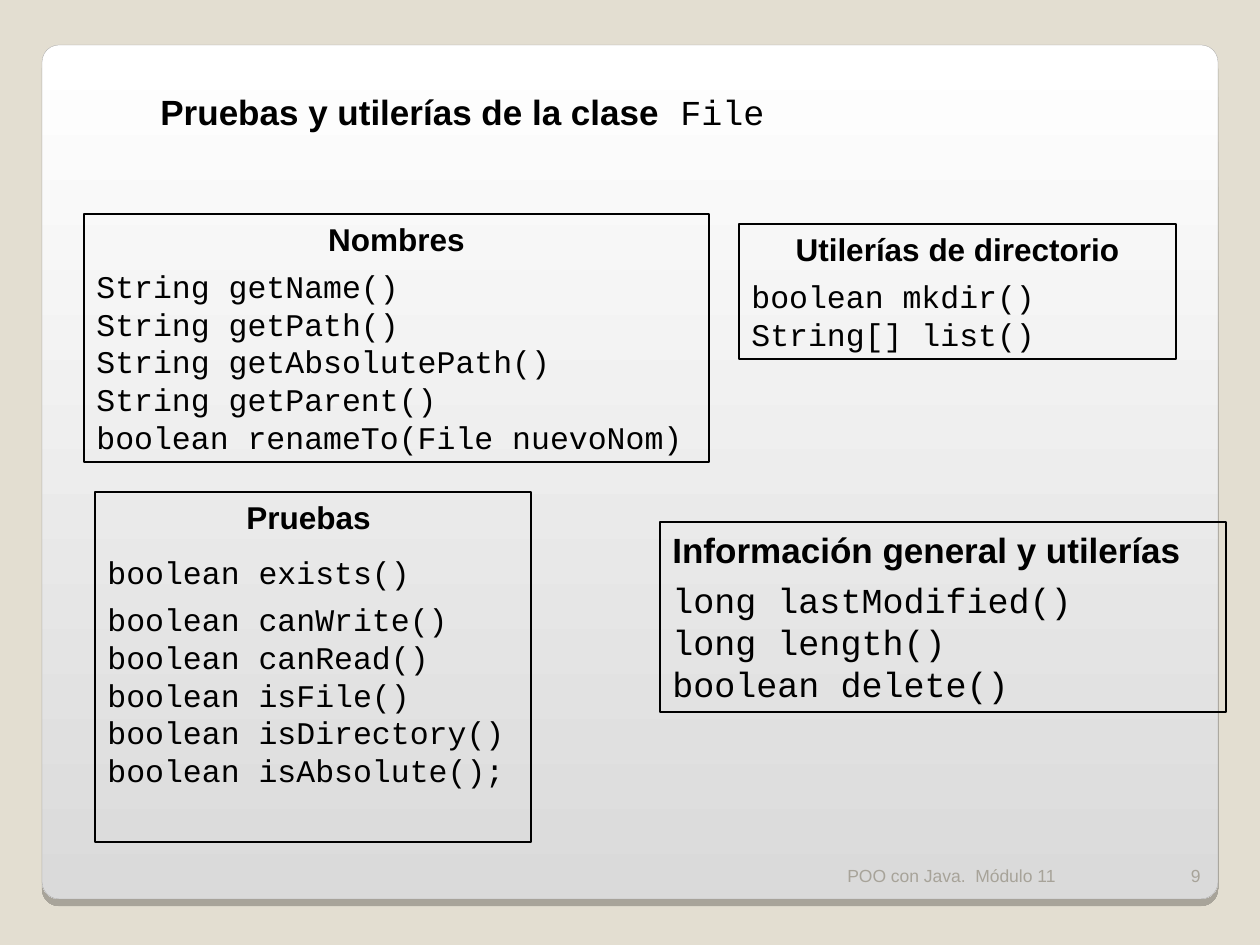
from lxml import etree
from pptx import Presentation
from pptx.dml.color import RGBColor
from pptx.enum.shapes import MSO_SHAPE
from pptx.enum.text import MSO_ANCHOR, PP_ALIGN
from pptx.oxml.ns import qn
from pptx.util import Pt

EMU_PER_PX = 914400 / 126
COLORS = {
    "background": "E3DED1",
    "card_top": "FFFFFF",
    "card_bottom": "DADADA",
    "card_line": "A4A3A3",
    "shadow": "000000",
    "text": "000000",
    "footer": "A7A399",
}
SANS, MONO = "Arial", "Courier New"


def px(n):
    return round(n * EMU_PER_PX)


def rgb(name):
    return RGBColor.from_string(COLORS[name])


def add_text(p, text, font=SANS, size=18, bold=False, color="text",
             align=PP_ALIGN.LEFT, before=0, after=0, leading=1.2):
    """Add a run to p and format the paragraph that holds it."""
    p.alignment = align
    p.space_before, p.space_after = Pt(before), Pt(after)
    p.line_spacing = Pt(size * leading)
    r = p.add_run()
    r.text = text
    r.font.name, r.font.size, r.font.bold = font, Pt(size), bold
    r.font.color.rgb = rgb(color)


def add_text_box(slide, box, anchor=MSO_ANCHOR.TOP):
    tf = slide.shapes.add_textbox(*map(px, box)).text_frame
    tf.word_wrap = True
    tf.vertical_anchor = anchor
    return tf


def add_card(slide, box):
    """Rounded card with a vertical gradient and a hard shadow below."""
    sp = slide.shapes.add_shape(MSO_SHAPE.ROUNDED_RECTANGLE, *map(px, box))
    sp.adjustments[0] = 0.02
    sp.fill.gradient()
    sp.fill.gradient_angle = 270
    for stop, name in zip(sp.fill.gradient_stops, ("card_top", "card_bottom")):
        stop.color.rgb = rgb(name)
    sp.line.color.rgb = rgb("card_line")
    sp.line.width = Pt(0.17)
    sp.shadow.inherit = False
    effects = sp._element.spPr.find(qn("a:effectLst"))
    shadow = etree.SubElement(effects, qn("a:outerShdw"), blurRad="0",
                              dist=str(Pt(4)), dir="5400000", algn="t",
                              rotWithShape="0")
    color = etree.SubElement(shadow, qn("a:srgbClr"), val=COLORS["shadow"])
    etree.SubElement(color, qn("a:alpha"), val="25000")


def add_title(slide, box, text, class_name):
    p = add_text_box(slide, box).paragraphs[0]
    p._p.get_or_add_pPr().set("marL", str(px(53)))
    add_text(p, text, size=20, bold=True)
    add_text(p, " " + class_name, font=MONO, size=20)


def add_method_box(slide, box, heading, methods, size=18,
                   align=PP_ALIGN.CENTER, first_gap=0):
    """Outlined box with a bold heading above a list of methods."""
    sp = slide.shapes.add_shape(MSO_SHAPE.RECTANGLE, *map(px, box))
    sp.fill.background()
    sp.line.color.rgb = rgb("text")
    sp.line.width = Pt(0.75)
    sp.shadow.inherit = False
    tf = sp.text_frame
    tf.word_wrap = True
    tf.vertical_anchor = MSO_ANCHOR.TOP
    add_text(tf.paragraphs[0], heading, size=size, bold=True, align=align, after=5)
    for i, method in enumerate(methods):
        gap = 0 if i else first_gap
        add_text(tf.add_paragraph(), method, font=MONO, size=size,
                 before=gap, after=gap)


def add_footer(slide, box, text, number):
    left, top, width, height = box
    number_width = 63
    text_width = width - number_width
    parts = [
        (text, left, text_width, PP_ALIGN.LEFT),
        (number, left + text_width, number_width, PP_ALIGN.RIGHT),
    ]
    for words, x, w, align in parts:
        tf = add_text_box(slide, (x, top, w, height), MSO_ANCHOR.BOTTOM)
        add_text(tf.paragraphs[0], words, size=10, color="footer", align=align)


def main():
    prs = Presentation()
    prs.slide_width, prs.slide_height = px(1260), px(945)
    slide = prs.slides.add_slide(prs.slide_layouts[6])
    slide.background.fill.solid()
    slide.background.fill.fore_color.rgb = rgb("background")

    add_card(slide, (42, 45, 1176, 854))
    add_footer(slide, (835, 842, 378, 50), "POO con Java.  Módulo 11", "9")
    add_title(slide, (95, 84, 963, 55), "Pruebas y utilerías de la clase", "File")

    # Groups of methods of the class
    add_method_box(slide, (84, 214, 625, 248), "Nombres", [
        "String getName()",
        "String getPath()",
        "String getAbsolutePath()",
        "String getParent()",
        "boolean renameTo(File nuevoNom)",
    ])
    add_method_box(slide, (95, 492, 436, 350), "Pruebas ", [
        "boolean exists()",
        "boolean canWrite()",
        "boolean canRead()",
        "boolean isFile()",
        "boolean isDirectory()",
        "boolean isAbsolute();",
    ], first_gap=5)
    add_method_box(slide, (660, 522, 566, 190), "Información general y utilerías", [
        "long lastModified()",
        "long length()",
        "boolean delete()",
    ], size=20, align=PP_ALIGN.LEFT)
    add_method_box(slide, (739, 224, 437, 135), "Utilerías de directorio", [
        "boolean mkdir()",
        "String[] list()",
    ])

    prs.save("out.pptx")


if __name__ == "__main__":
    main()
